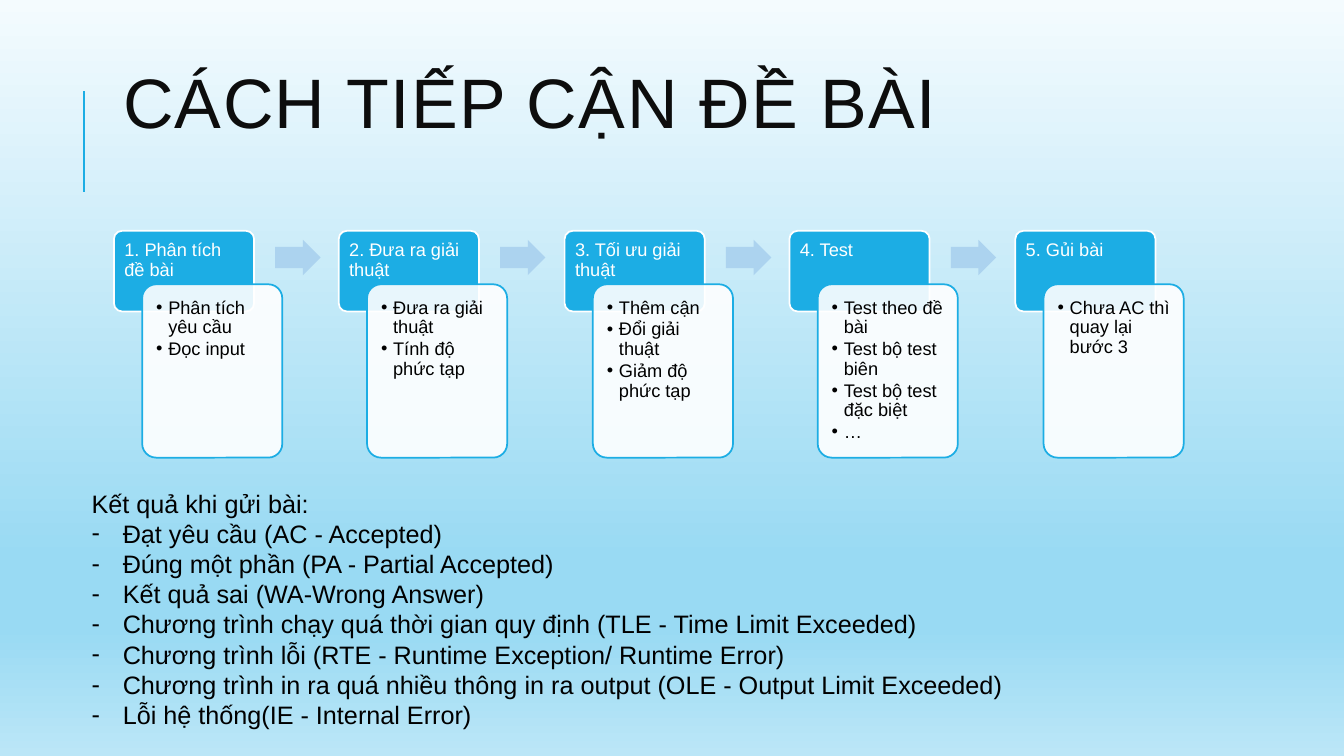
from dataclasses import dataclass

from pptx import Presentation
from pptx import util as u
from pptx.dml.color import RGBColor
from pptx.enum import shapes, text
from pptx.oxml.ns import qn
from lxml import etree

# Content
TITLE = "CÁCH TIẾP CẬN ĐỀ BÀI"
STEPS = [
    ("1. Phân tích đề bài", ["Phân tích yêu cầu", "Đọc input"]),
    ("2. Đưa ra giải thuật", ["Đưa ra giải thuật", "Tính độ phức tạp"]),
    ("3. Tối ưu giải thuật", ["Thêm cận", "Đổi giải thuật", "Giảm độ phức tạp"]),
    ("4. Test", ["Test theo đề bài", "Test bộ test biên", "Test bộ test đặc biệt", "…"]),
    ("5. Gủi bài", ["Chưa AC thì quay lại bước 3"]),
]
RESULTS_HEADING = "Kết quả khi gửi bài:"
RESULTS = [
    "Đạt yêu cầu (AC - Accepted)",
    "Đúng một phần (PA - Partial Accepted)",
    "Kết quả sai (WA-Wrong Answer)",
    "Chương trình chạy quá thời gian quy định (TLE - Time Limit Exceeded)",
    "Chương trình lỗi (RTE - Runtime Exception/ Runtime Error)",
    "Chương trình in ra quá nhiều thông in ra output (OLE - Output Limit Exceeded)",
    "Lỗi hệ thống(IE - Internal Error)",
]


@dataclass(frozen=True)
class Theme:
    font: str = "Arial"
    accent: str = "1CADE4"
    arrow: str = "ACD3EF"
    white: str = "FFFFFF"
    black: str = "000000"
    title: str = "0D0D0D"
    background: tuple = ((0, "F4FBFE"), (74, "99DAF3"), (83, "99DAF3"), (100, "BBE6F7"))
    title_size: int = 50
    step_size: int = 13
    result_size: int = 18


THEME = Theme()

# Geometry in px, 100 to the inch
PX = 9144
FIRST_LEFT, LAST_LEFT = 113, 1007
CARD_WIDTH = 139
HEADER_TOP, HEADER_HEIGHT = 229, 80
DETAIL_SHIFT, DETAIL_TOP, DETAIL_HEIGHT = 28, 282, 172
ARROW_SHIFT, ARROW_TOP, ARROW_WIDTH, ARROW_HEIGHT = 160, 238, 45, 35


def px(*lengths):
    return [u.Emu(length * PX) for length in lengths]


def colour(code):
    return RGBColor.from_string(code)


def format_para(para, size, code, spacing=None, after=0):
    para.line_spacing = spacing
    para.space_after = u.Pt(after)
    para.alignment = text.PP_ALIGN.LEFT
    for span in para.runs:
        span.font.name = THEME.font
        span.font.size = u.Pt(size)
        span.font.color.rgb = colour(code)


def add_bullet(para, symbol, indent):
    props = para._p.get_or_add_pPr()
    props.set("marL", str(indent * PX))
    props.set("indent", str(-indent * PX))
    etree.SubElement(props, qn("a:buFont"), typeface=THEME.font)
    etree.SubElement(props, qn("a:buChar"), char=symbol)


def set_frame(frame, inset):
    frame.word_wrap = True
    frame.vertical_anchor = text.MSO_ANCHOR.TOP
    frame.margin_left, frame.margin_top, frame.margin_right, frame.margin_bottom = px(*[inset] * 4)


def add_block(page, kind, place, fill, line=None, adjust=(0.1,)):
    block = page.shapes.add_shape(kind, *px(*place))
    block.shadow.inherit = False
    for number, value in enumerate(adjust):
        block.adjustments[number] = value
    block.fill.solid()
    block.fill.fore_color.rgb = colour(fill)
    if line:
        block.line.color.rgb = colour(line)
        block.line.width = u.Pt(1.25)
    else:
        block.line.fill.background()
    return block


def paint_background(page):
    fill = page.background.fill
    fill.gradient()
    fill.gradient_angle = 270
    stops = page._element.find(".//" + qn("a:gsLst"))
    for stop in list(stops):
        stops.remove(stop)
    for position, code in THEME.background:
        stop = etree.SubElement(stops, qn("a:gs"), pos=str(position * 1000))
        etree.SubElement(stop, qn("a:srgbClr"), val=code)


def add_title(page):
    rule = page.shapes.add_connector(shapes.MSO_CONNECTOR.STRAIGHT, *px(83, 190, 83, 90))
    rule.line.color.rgb = colour(THEME.accent)
    rule.line.width = u.Pt(1.5)
    etree.SubElement(rule._element.spPr, qn("a:effectLst"))

    title = page.shapes.title
    title.left, title.top, title.width, title.height = px(112, 64, 1063, 87)
    frame = title.text_frame
    frame.text = TITLE
    frame.auto_size = text.MSO_AUTO_SIZE.NONE
    frame.vertical_anchor = text.MSO_ANCHOR.MIDDLE
    para = frame.paragraphs[0]
    format_para(para, THEME.title_size, THEME.title, 0.8)
    para.runs[0]._r.get_or_add_rPr().set("spc", "100")


def add_step(page, left, heading, details):
    rounded = shapes.MSO_SHAPE.ROUNDED_RECTANGLE
    header = add_block(page, rounded, (left, HEADER_TOP, CARD_WIDTH, HEADER_HEIGHT),
                       THEME.accent, THEME.white)
    set_frame(header.text_frame, 8)
    header.text_frame.text = heading
    format_para(header.text_frame.paragraphs[0], THEME.step_size, THEME.white, 0.9)

    card = add_block(page, rounded, (left + DETAIL_SHIFT, DETAIL_TOP, CARD_WIDTH, DETAIL_HEIGHT),
                     THEME.white, THEME.accent)
    tint = card._element.spPr.find(qn("a:solidFill"))[0]
    etree.SubElement(tint, qn("a:alpha"), val="90000")
    set_frame(card.text_frame, 10)
    card.text_frame.text = "\n".join(details)
    for para in card.text_frame.paragraphs:
        format_para(para, THEME.step_size, THEME.black, 0.9, 1.5)
        add_bullet(para, "•", 12)


def add_results(page):
    box = page.shapes.add_textbox(*px(81, 479, 1137, 252))
    frame = box.text_frame
    frame.word_wrap = True
    frame.text = "\n".join([RESULTS_HEADING] + RESULTS)
    for number, para in enumerate(frame.paragraphs):
        format_para(para, THEME.result_size, THEME.black)
        if number:
            add_bullet(para, "-", 31)


def main():
    deck = Presentation()
    deck.slide_width, deck.slide_height = px(1333, 750)
    page = deck.slides.add_slide(deck.slide_layouts[5])
    paint_background(page)
    add_title(page)

    # Steps, with an arrow between neighbours
    gaps = len(STEPS) - 1
    for number, (heading, details) in enumerate(STEPS):
        left = FIRST_LEFT + (LAST_LEFT - FIRST_LEFT) * number // gaps
        add_step(page, left, heading, details)
        if number < gaps:
            add_block(page, shapes.MSO_SHAPE.RIGHT_ARROW,
                      (left + ARROW_SHIFT, ARROW_TOP, ARROW_WIDTH, ARROW_HEIGHT),
                      THEME.arrow, adjust=(0.6, 0.5))

    add_results(page)
    deck.save("out.pptx")


if __name__ == "__main__":
    main()
